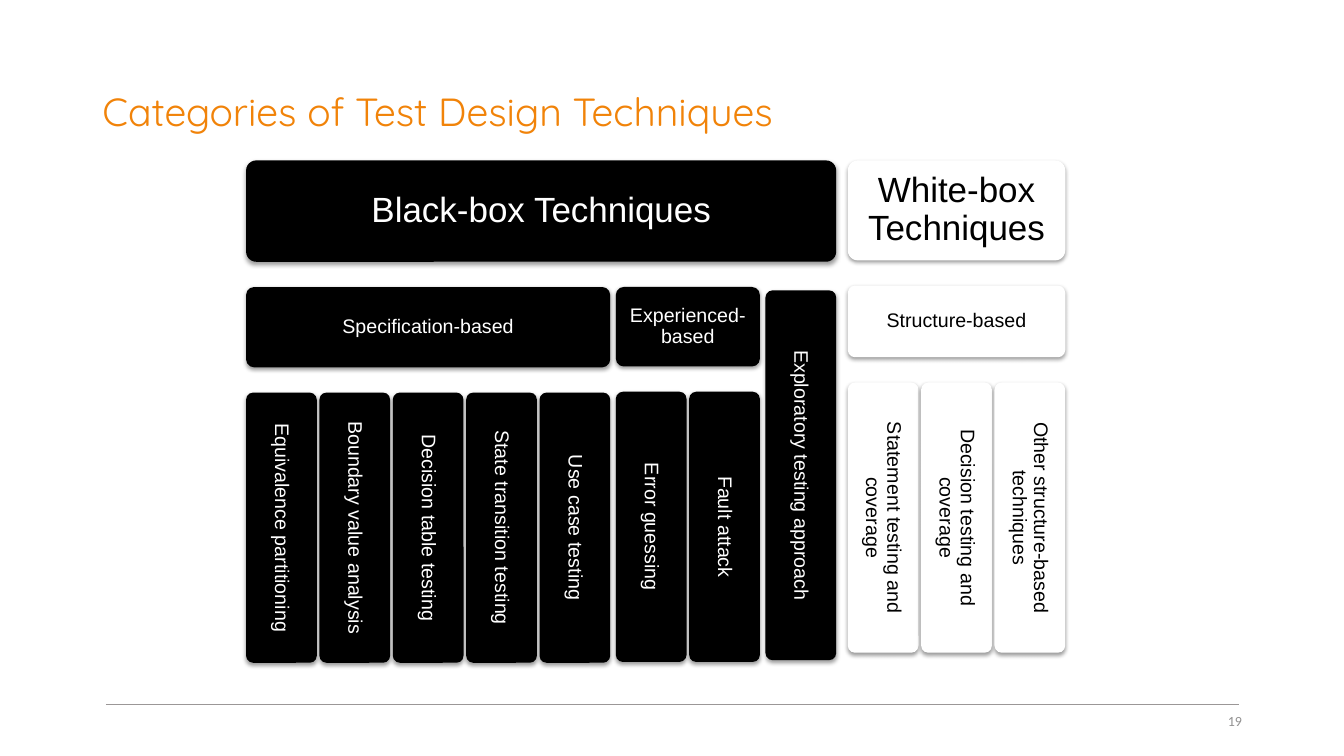
from lxml import etree
from pptx import Presentation
from pptx.dml.color import RGBColor
from pptx.enum.shapes import MSO_CONNECTOR, MSO_SHAPE
from pptx.enum.text import MSO_ANCHOR, MSO_AUTO_SIZE, PP_ALIGN
from pptx.oxml.ns import qn
from pptx.util import Pt

ROUND = MSO_SHAPE.ROUNDED_RECTANGLE
STRAIGHT = MSO_CONNECTOR.STRAIGHT
MIDDLE = MSO_ANCHOR.MIDDLE
NO_FIT = MSO_AUTO_SIZE.NONE
LEFT, CENTER, RIGHT = PP_ALIGN.LEFT, PP_ALIGN.CENTER, PP_ALIGN.RIGHT

BLACK = RGBColor(0, 0, 0)
WHITE = RGBColor(0xFF, 0xFF, 0xFF)
ORANGE = RGBColor(0xF1, 0x83, 0x09)
RULE = RGBColor(0x9B, 0x97, 0x97)
GREY = RGBColor(0x92, 0x91, 0x91)

BAR, STEP = 50.5, 52.4      # bar width and pitch
BAR_H = 193
ROW_GAP, GROUP_GAP = 18, 4

SPEC = ["Equivalence partitioning", "Boundary value analysis",
        "Decision table testing", "State transition testing",
        "Use case testing"]
EXPERT = ["Error guessing", "Fault attack"]
STRUCT = ["Statement testing and coverage", "Decision testing and coverage",
          "Other structure-based techniques"]


def write(shape, text, font, size, color, align, space=None):
    frame = shape.text_frame
    frame.text = text
    frame.word_wrap = True
    frame.auto_size = NO_FIT
    frame.vertical_anchor = MIDDLE
    para = frame.paragraphs[0]
    para.alignment = align
    para.line_spacing = space
    style = para.runs[0].font
    style.name, style.size = font, Pt(size)
    style.color.rgb = color


def add_shadow(shape):
    shape.shadow.inherit = False
    effects = shape._element.spPr.find(qn("a:effectLst"))
    outer = etree.SubElement(effects, qn("a:outerShdw"), blurRad=str(Pt(3.1)),
                             dist=str(Pt(1.6)), dir="5400000", rotWithShape="0")
    color = etree.SubElement(outer, qn("a:srgbClr"), val="000000")
    etree.SubElement(color, qn("a:alpha"), val="38000")


def add_block(slide, box, text, fill, size=14, inset=5.8, upright=False):
    """Add a labelled block; an upright one has its text turned downwards."""
    block = slide.shapes.add_shape(ROUND, *map(Pt, box))
    block.adjustments[0] = 0.1
    block.fill.solid()
    block.fill.fore_color.rgb = fill
    block.line.fill.background()
    add_shadow(block)
    write(block, text, "Arial", size, WHITE if fill == BLACK else BLACK,
          CENTER, 0.9)
    frame = block.text_frame
    frame.margin_left = frame.margin_right = Pt(inset)
    frame.margin_top = frame.margin_bottom = Pt(inset)
    if upright:
        frame._txBody.bodyPr.set("vert", "vert")


def span(count):
    return (count - 1) * STEP + BAR


def add_group(slide, left, top, high, head, names, fill):
    """Add a heading above its row of bars and return the right edge."""
    wide = span(len(names))
    add_block(slide, (left, top, wide, high), head, fill)
    row = top + high + ROW_GAP
    for i, name in enumerate(names):
        add_block(slide, (left + i * STEP, row, BAR, BAR_H), name, fill,
                  upright=True)
    return left + wide


def add_black(slide, left, top):
    high = 72.4
    row = top + high + ROW_GAP
    wide = span(len(SPEC)) + span(len(EXPERT)) + BAR + 2 * GROUP_GAP
    add_block(slide, (left, top, wide, high), "Black-box Techniques", BLACK,
              25, 9.4)
    edge = add_group(slide, left, row, 57.4, "Specification-based", SPEC, BLACK)
    edge = add_group(slide, edge + GROUP_GAP, row, 56.8, "Experienced-based",
                     EXPERT, BLACK)
    add_block(slide, (edge + GROUP_GAP, row + 2.4, BAR, 264.2),
              "Exploratory testing approach", BLACK, upright=True)


def add_white(slide, left, top):
    high = 71.4
    add_block(slide, (left, top, span(len(STRUCT)), high),
              "White-box Techniques", WHITE, 25, 9.4)
    add_group(slide, left, top + high + ROW_GAP, 51.2, "Structure-based",
              STRUCT, WHITE)


def add_title(slide, left, top, wide, high):
    title = slide.shapes.title
    title.left, title.top = Pt(left), Pt(top)
    title.width, title.height = Pt(wide), Pt(high)
    write(title, "Categories of Test Design Techniques", "Quicksand", 28,
          ORANGE, LEFT, 0.9)


def add_footer(slide, left, top, wide):
    line = slide.shapes.add_connector(STRAIGHT, Pt(left), Pt(top),
                                      Pt(left + wide), Pt(top))
    line.line.color.rgb = RULE
    line.line.width = Pt(1)
    etree.SubElement(line._element.spPr, qn("a:effectLst"))
    number = slide.shapes.add_textbox(Pt(left + wide - 206.6), Pt(top - 2.9),
                                      Pt(216), Pt(28.8))
    write(number, "19", "Calibri", 10, GREY, RIGHT)


def main():
    deck = Presentation()
    deck.slide_width, deck.slide_height = Pt(960), Pt(540)
    slide = deck.slides.add_slide(deck.slide_layouts[5])
    add_footer(slide, 75.6, 503.3, 809.3)
    add_title(slide, 66, 28.8, 828, 104.4)
    add_black(slide, 175.8, 114.6)
    add_white(slide, 605.6, 114.6)
    deck.save("out.pptx")


if __name__ == "__main__":
    main()
